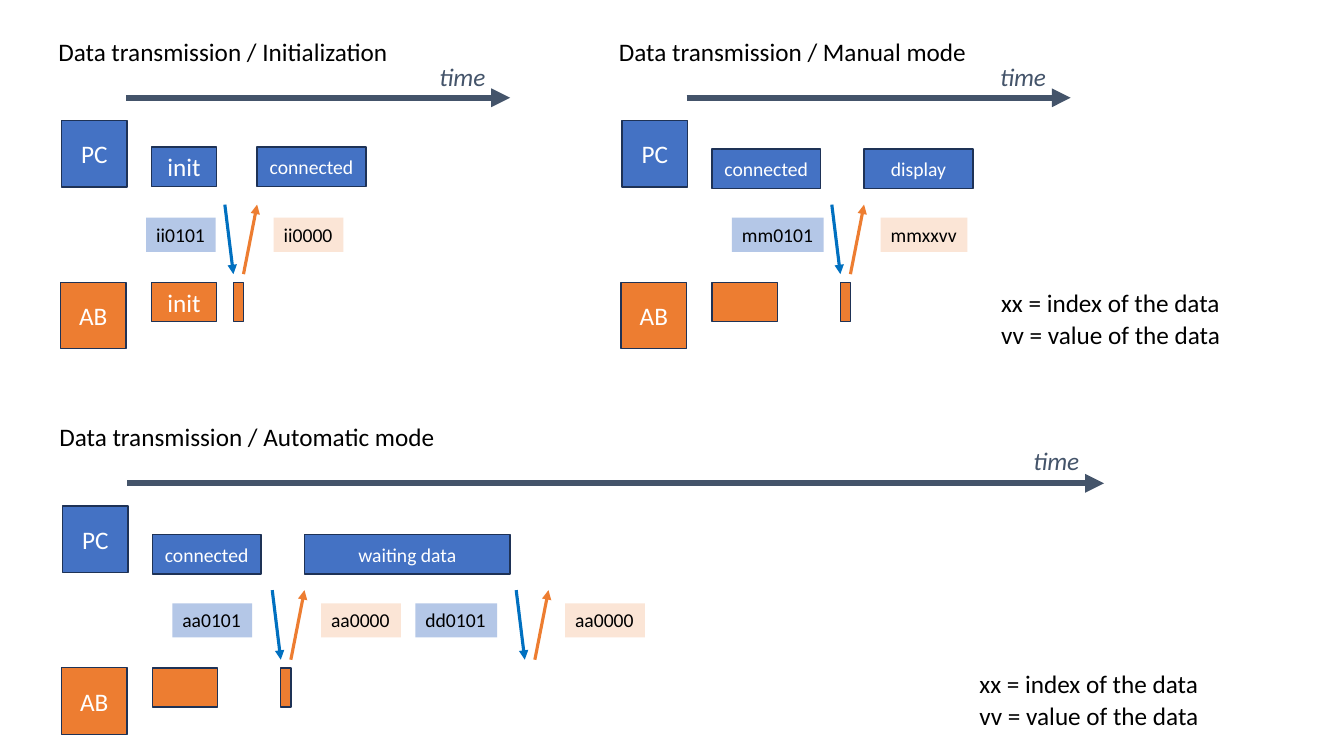
from pptx import Presentation
from pptx.dml.color import RGBColor
from pptx.enum.shapes import MSO_CONNECTOR as Connector, MSO_SHAPE as Shape
from pptx.enum.text import MSO_ANCHOR as Anchor, MSO_AUTO_SIZE as Fit, PP_ALIGN as Align
from pptx.oxml.ns import qn
from pptx.util import Inches, Pt
from lxml.etree import SubElement

BLUE, ORANGE, EDGE, SLATE = "4472C4", "ED7D31", "1E3256", "44546A"
REQUEST_ARROW, REQUEST_FILL, REPLY_FILL = "0070C0", "B4C7E7", "FBE5D6"
BLACK, WHITE = "000000", "FFFFFF"
SMALL, LARGE = 14, 18
LABEL_HEIGHT, STATE_HEIGHT, TEXT_HEIGHT = 3.4, 3.9, 4
DEVICE_WIDTH, DEVICE_HEIGHT, STATE_WIDTH = 6.5, 6.6, 10.8


def color(code):
    return RGBColor.from_string(code)


def assign(target, values):
    for name, value in values.items():
        setattr(target, name, value)


class TimingSlide:
    font = "Calibri"
    cell = Inches(0.1)

    def __init__(self, slide):
        self.slide = slide
        self.origin = (0, 0)

    def place(self, column, row):
        left, top = self.origin
        return round((left + column) * self.cell), round((top + row) * self.cell)

    def size(self, columns, rows):
        return round(columns * self.cell), round(rows * self.cell)

    def caption(self, box, text, size, ink, frame_format, align=Align.LEFT, italic=False):
        assign(box.text_frame, frame_format)
        para = box.text_frame.paragraphs[0]
        para.alignment = align
        span = para.add_run()
        span.text = text
        assign(span.font, {"name": self.font, "size": Pt(size), "italic": italic})
        span.font.color.rgb = color(ink)

    def text(self, column, row, width, text, ink=BLACK, italic=False, wrap=False):
        box = self.slide.shapes.add_textbox(*self.place(column, row), *self.size(width, TEXT_HEIGHT))
        self.caption(box, text, LARGE, ink,
                     {"word_wrap": wrap, "auto_size": Fit.SHAPE_TO_FIT_TEXT}, italic=italic)

    def rectangle(self, column, row, width, height, fill):
        box = self.slide.shapes.add_shape(
            Shape.RECTANGLE, *self.place(column, row), *self.size(width, height))
        box.shadow.inherit = False
        box.fill.solid()
        box.fill.fore_color.rgb = color(fill)
        return box

    def block(self, column, row, width, height, fill, text="", size=LARGE):
        box = self.rectangle(column, row, width, height, fill)
        box.line.color.rgb = color(EDGE)
        box.line.width = Pt(1)
        if text:
            self.caption(box, text, size, WHITE,
                         {"word_wrap": True, "vertical_anchor": Anchor.MIDDLE}, Align.CENTER)

    def label(self, column, row, width, fill, text):
        box = self.rectangle(column, row, width, LABEL_HEIGHT, fill)
        box.line.fill.background()
        self.caption(box, text, SMALL, BLACK,
                     {"word_wrap": False, "vertical_anchor": Anchor.TOP,
                      "auto_size": Fit.SHAPE_TO_FIT_TEXT})

    def arrow(self, start, end, ink, weight):
        connector = self.slide.shapes.add_connector(
            Connector.STRAIGHT, *self.place(*start), *self.place(*end))
        connector.line.color.rgb = color(ink)
        connector.line.width = Pt(weight)
        properties = connector.element.spPr
        SubElement(properties.find(qn("a:ln")), qn("a:tailEnd"), type="triangle")
        SubElement(properties, qn("a:effectLst"))

    def exchange(self, column, request, reply, pulse=True):
        turn, back, end = column + 0.85, column + 1.85, column + 3.2
        self.arrow((column, 17.2), (turn, 24.1), REQUEST_ARROW, 2.25)
        self.arrow((back, 24.1), (end, 17.2), ORANGE, 2.25)
        request_column, request_width, request_text = request
        reply_width, reply_text = reply
        self.label(request_column, 18.5, request_width, REQUEST_FILL, request_text)
        self.label(column + 4.85, 18.5, reply_width, REPLY_FILL, reply_text)
        if pulse:
            self.block(turn, 24.9, 1, STATE_HEIGHT, ORANGE)

    def panel(self, origin, mode, title_width, axis_end, time_row, state_row, states, board_state,
              exchanges):
        self.origin = origin
        self.text(0, 0, title_width, f"Data transmission / {mode}")
        self.block(1.3, 8.85, DEVICE_WIDTH, DEVICE_HEIGHT, BLUE, "PC")
        self.block(1.2, 24.9, DEVICE_WIDTH, DEVICE_HEIGHT, ORANGE, "AB")
        self.arrow((7.7, 6.6), (axis_end, 6.6), SLATE, 4.5)
        self.text(axis_end - 8, time_row, 6.6, "time", SLATE, italic=True)
        for column, width, name, size in states:
            self.block(column, state_row, width, STATE_HEIGHT, BLUE, name, size)
        self.block(10.2, 24.9, DEVICE_WIDTH, STATE_HEIGHT, ORANGE, board_state)
        for exchange in exchanges:
            self.exchange(*exchange)

    def legend(self, column, row):
        self.origin = (column, row)
        for index, entry in enumerate(("xx = index of the data", "vv = value of the data")):
            self.text(0, index * 3.15, 26.8, entry, wrap=True)


def main():
    deck = Presentation()
    assign(deck, {"slide_width": Inches(13.33), "slide_height": Inches(7.5)})
    page = TimingSlide(deck.slides.add_slide(deck.slide_layouts[6]))

    page.panel((4.8, 3.1), "Initialization", 35.1, 45.8, 2.5, 11.5,
               [(10.2, DEVICE_WIDTH, "init", LARGE), (20.7, STATE_WIDTH, "connected", SMALL)],
               "init",
               [(17.5, (9.7, 6.9, "ii0101"), (6.9, "ii0000"))])
    page.panel((60.4, 3.1), "Manual mode", 36.8, 45.8, 2.5, 11.7,
               [(10.2, STATE_WIDTH, "connected", SMALL), (25.3, STATE_WIDTH, "display", SMALL)],
               "",
               [(22.1, (12.2, 9.1, "mm0101"), (8.6, "mmxxvv"))])
    page.legend(98.3, 28)
    page.panel((4.9, 41.35), "Automatic mode", 40.2, 104.6, 2.3, 11.7,
               [(10.2, STATE_WIDTH, "connected", SMALL), (25.3, 20.4, "waiting data", SMALL)],
               "",
               [(22.1, (12.2, 7.9, "aa0101"), (7.9, "aa0000")),
                (46.3, (36.3, 8.1, "dd0101"), (7.9, "aa0000"), False)])
    page.legend(96.15, 65.8)
    deck.save("out.pptx")


if __name__ == "__main__":
    main()
